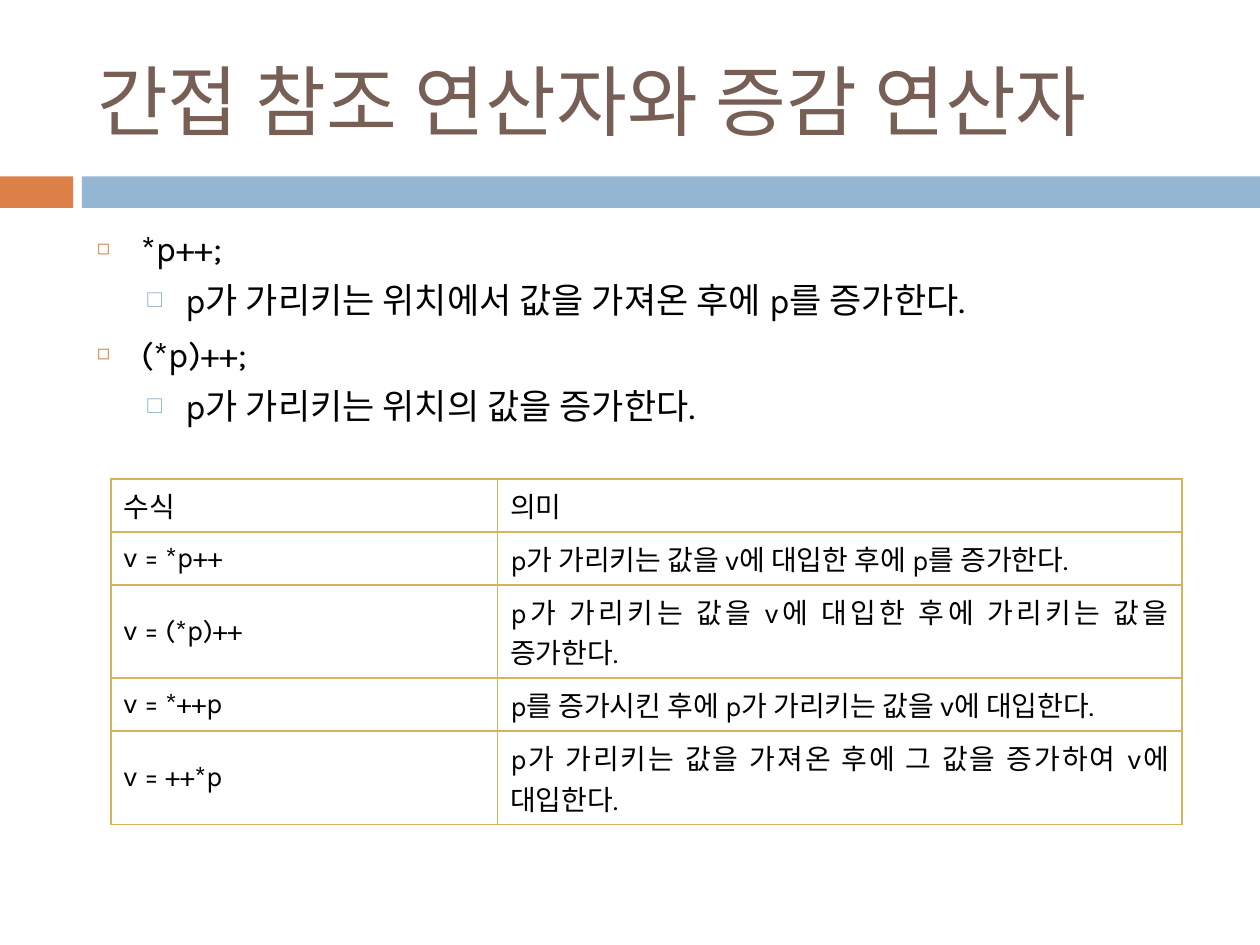
from pptx import Presentation
from pptx.dml.color import RGBColor
from pptx.enum import shapes, text
from pptx.oxml import parse_xml
from pptx.oxml.ns import nsdecls
from pptx.util import Inches, Pt

TITLE = "간접 참조 연산자와 증감 연산자"
BULLETS = [
    (0, "*p++;"),
    (1, "p가 가리키는 위치에서 값을 가져온 후에 p를 증가한다."),
    (0, "(*p)++;"),
    (1, "p가 가리키는 위치의 값을 증가한다."),
]
LEVELS = [
    dict(left=0.35, hang=0.35, before=7, char="◻", color="DD8047", size=60),
    dict(left=0.7, hang=0.3, before=5.5, char="□", color="94B6D2", size=70),
]
ROWS = [
    ("수식", "의미"),
    ("v = *p++", "p가 가리키는 값을 v에 대입한 후에 p를 증가한다."),
    ("v = (*p)++", "p가 가리키는 값을 v에 대입한 후에 가리키는 값을 증가한다."),
    ("v = *++p", "p를 증가시킨 후에 p가 가리키는 값을 v에 대입한다."),
    ("v = ++*p", "p가 가리키는 값을 가져온 후에 그 값을 증가하여 v에 대입한다."),
]
COL_WIDTHS = [3.07, 5.43]
ROW_HEIGHTS = [0.37, 0.37, 0.63, 0.37, 0.63]
BANDS = [(0, 0.58, "DD8047"), (0.65, 9.35, "94B6D2")]
BORDER = "D8B25C"


def rgb(value):
    return RGBColor.from_string(value)


def write(p, content, size=20, font="Karla", color="000000", align=text.PP_ALIGN.LEFT):
    p.alignment = align
    r = p.add_run()
    r.text = content
    r.font.size = Pt(size)
    r.font.name = font
    r.font.color.rgb = rgb(color)


def place(sp, left, top, width, height):
    sp.left, sp.top = Inches(left), Inches(top)
    sp.width, sp.height = Inches(width), Inches(height)


def add_bullet(p, left, hang, before, char, color, size):
    p.space_before = Pt(before)
    pPr = p._p.get_or_add_pPr()
    pPr.set("marL", str(Inches(left)))
    pPr.set("indent", str(-Inches(hang)))
    for xml in (
        f'<a:buClr {nsdecls("a")}><a:srgbClr val="{color}"/></a:buClr>',
        f'<a:buSzPct {nsdecls("a")} val="{size * 1000}"/>',
        f'<a:buChar {nsdecls("a")} char="{char}"/>',
    ):
        pPr.append(parse_xml(xml))


def add_borders(cell):
    tcPr = cell._tc.get_or_add_tcPr()
    for i, side in enumerate("LRTB"):
        tcPr.insert(i, parse_xml(
            f'<a:ln{side} {nsdecls("a")} w="{Pt(1)}"><a:solidFill>'
            f'<a:srgbClr val="{BORDER}"/></a:solidFill></a:ln{side}>'))


def main():
    prs = Presentation()
    prs.slide_width, prs.slide_height = Inches(10), Inches(7.5)
    s = prs.slides.add_slide(prs.slide_layouts[1])

    for left, width, color in BANDS:
        band = s.shapes.add_shape(shapes.MSO_SHAPE.RECTANGLE, Inches(left),
                                  Inches(1.4), Inches(width), Inches(0.25))
        band.shadow.inherit = False
        band.fill.solid()
        band.fill.fore_color.rgb = rgb(color)
        band.line.fill.background()

    title = s.shapes.title
    place(title, 0.67, 0.25, 8.92, 1.08)
    tf = title.text_frame
    tf.auto_size = text.MSO_AUTO_SIZE.NONE
    tf.vertical_anchor = text.MSO_ANCHOR.MIDDLE
    write(tf.paragraphs[0], TITLE, size=44, font="Calibri", color="775F55")

    body = s.placeholders[1]
    place(body, 0.67, 1.75, 8.92, 4.92)
    tf = body.text_frame
    tf.auto_size = text.MSO_AUTO_SIZE.NONE
    for i, (level, content) in enumerate(BULLETS):
        p = tf.add_paragraph() if i else tf.paragraphs[0]
        p.level = level
        write(p, content)
        add_bullet(p, **LEVELS[level])

    table = s.shapes.add_table(
        len(ROWS), len(COL_WIDTHS), Inches(0.88), Inches(3.8),
        Inches(sum(COL_WIDTHS)), Inches(sum(ROW_HEIGHTS))).table
    table.first_row = table.horz_banding = False
    for col, width in zip(table.columns, COL_WIDTHS):
        col.width = Inches(width)
    for row, height, contents in zip(table.rows, ROW_HEIGHTS, ROWS):
        row.height = Inches(height)
        for cell, content in zip(row.cells, contents):
            cell.fill.background()
            cell.vertical_anchor = text.MSO_ANCHOR.MIDDLE
            cell.margin_left = cell.margin_right = Inches(0.1)
            cell.margin_top = cell.margin_bottom = Inches(0.05)
            write(cell.text_frame.paragraphs[0], content, size=16,
                  align=text.PP_ALIGN.JUSTIFY)
            add_borders(cell)

    prs.save("out.pptx")


if __name__ == "__main__":
    main()
